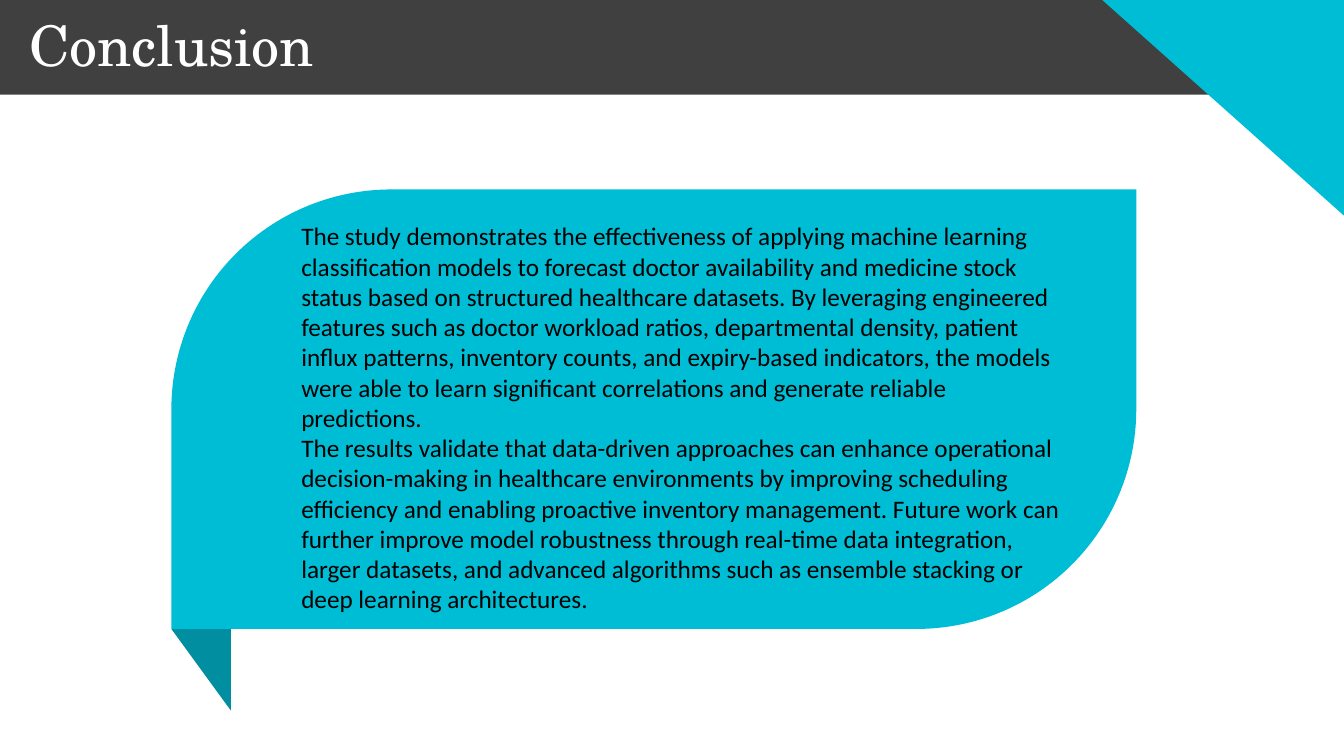
from dataclasses import dataclass

import pptx
import pptx.dml.color
import pptx.enum.shapes
import pptx.enum.text
import pptx.util
from pptx.util import Inches

SHAPE = pptx.enum.shapes.MSO_SHAPE


@dataclass(frozen=True)
class Theme:
    header: str = "404040"
    accent: str = "00BDD6"
    fold: str = "008EA0"
    title_color: str = "FFFFFF"
    body_color: str = "000000"
    title_font: str = "TeX Gyre Schola"
    body_font: str = "Calibri"
    title_size: int = 40
    body_size: int = 18


THEME = Theme()

FINDINGS = (
    "The study demonstrates the effectiveness of applying machine learning "
    "classification models to forecast doctor availability and medicine stock "
    "status based on structured healthcare datasets. By leveraging engineered "
    "features such as doctor workload ratios, departmental density, patient "
    "influx patterns, inventory counts, and expiry-based indicators, the models "
    "were able to learn significant correlations and generate reliable predictions."
)
OUTLOOK = (
    "The results validate that data-driven approaches can enhance operational "
    "decision-making in healthcare environments by improving scheduling "
    "efficiency and enabling proactive inventory management. Future work can "
    "further improve model robustness through real-time data integration, "
    "larger datasets, and advanced algorithms such as ensemble stacking or "
    "deep learning architectures."
)


def rgb(color):
    return pptx.dml.color.RGBColor.from_string(color)


def paint(shape, color):
    """Give a shape a flat fill with no outline or shadow."""
    shape.fill.solid()
    shape.fill.fore_color.rgb = rgb(color)
    shape.line.fill.background()
    shape.shadow.inherit = False


def add_block(shapes, preset, box, color):
    block = shapes.add_shape(preset, *map(Inches, box))
    paint(block, color)
    return block


def add_corner(shapes, points, color):
    start, *others = [(Inches(x), Inches(y)) for x, y in points]
    outline = shapes.build_freeform(*start)
    outline.add_line_segments(others, close=True)
    paint(outline.convert_to_shape(), color)


def add_text(shapes, box, text, font, size, color):
    """Add one wrapped paragraph; newlines in text become line breaks."""
    frame = shapes.add_textbox(*map(Inches, box)).text_frame
    frame.word_wrap = True
    frame.auto_size = pptx.enum.text.MSO_AUTO_SIZE.SHAPE_TO_FIT_TEXT
    paragraph = frame.paragraphs[0]
    paragraph.text = text
    for run in paragraph.runs:
        run.font.name = font
        run.font.size = pptx.util.Pt(size)
        run.font.color.rgb = rgb(color)


def add_header(shapes):
    add_block(shapes, SHAPE.RECTANGLE, (0, -0.02, 12.37, 0.96), THEME.header)
    add_corner(shapes, [(10.91, -0.02), (13.33, -0.02), (13.33, 2.14)], THEME.accent)
    add_text(shapes, (0.19, 0.06, 10.16, 0.77), "Conclusion",
             THEME.title_font, THEME.title_size, THEME.title_color)


def add_conclusion_card(shapes):
    left, top, width, height = 1.7, 1.88, 9.57, 4.36
    card = shapes.add_group_shape().shapes
    panel = add_block(card, SHAPE.ROUND_2_DIAG_RECTANGLE,
                      (left, top, width, height), THEME.accent)
    panel.adjustments[0] = 0.5
    panel.adjustments[1] = 0
    fold = add_block(card, SHAPE.RIGHT_TRIANGLE,
                     (left, top + height, 0.59, 0.81), THEME.fold)
    fold.rotation = 180
    add_text(card, (2.89, 2.14, 7.74, 4.04), f"{FINDINGS}\n{OUTLOOK}",
             THEME.body_font, THEME.body_size, THEME.body_color)


def main():
    deck = pptx.Presentation()
    deck.slide_width = Inches(13.33)
    deck.slide_height = Inches(7.5)
    slide = deck.slides.add_slide(deck.slide_layouts[6])
    add_header(slide.shapes)
    add_conclusion_card(slide.shapes)
    deck.save("out.pptx")


if __name__ == "__main__":
    main()
